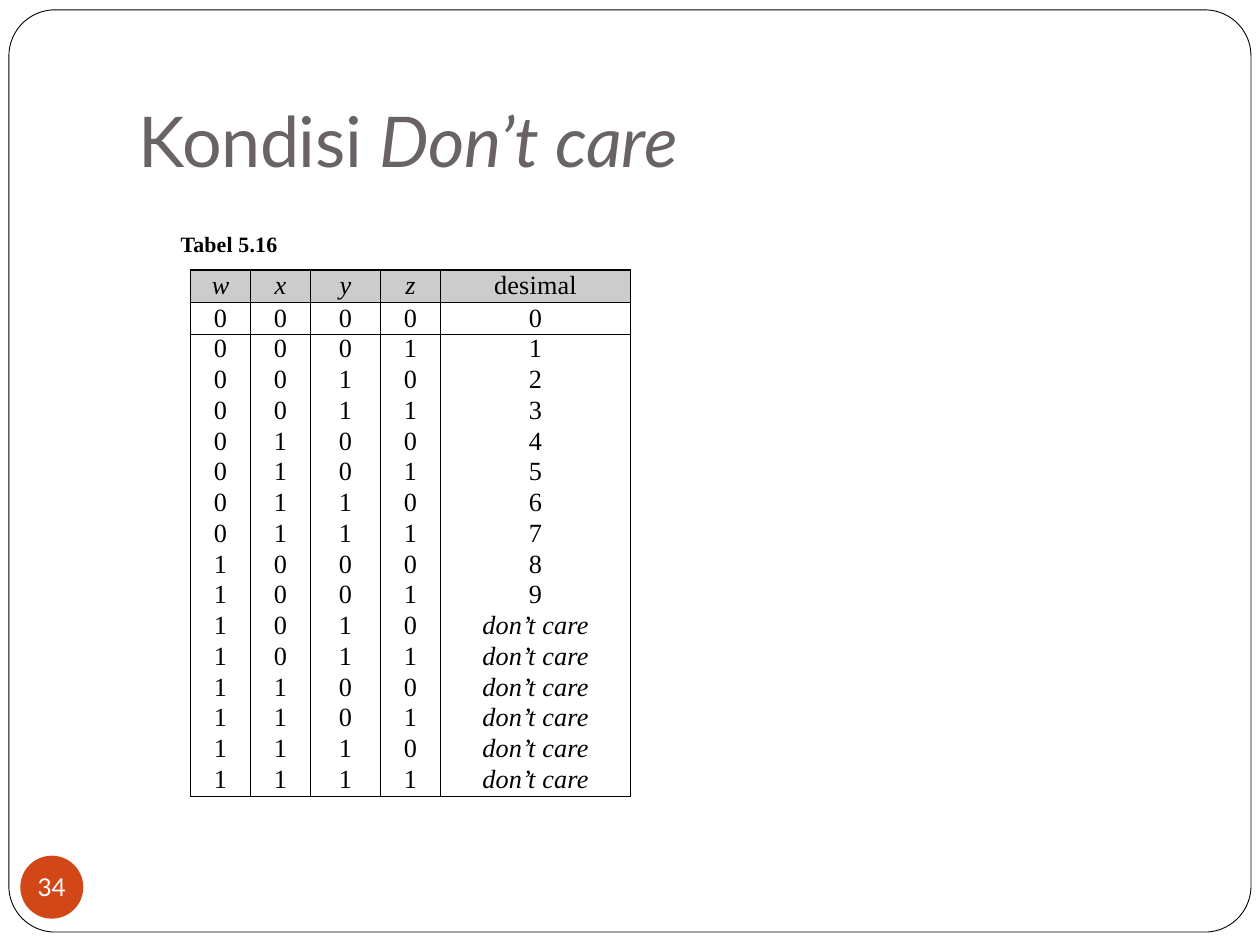
from lxml import etree
from pptx import Presentation
from pptx.dml.color import RGBColor
from pptx.enum.shapes import MSO_SHAPE
from pptx.enum.text import MSO_ANCHOR, PP_ALIGN
from pptx.oxml.ns import qn
from pptx.util import Cm, Pt

ROUNDED, OVAL = MSO_SHAPE.ROUNDED_RECTANGLE, MSO_SHAPE.OVAL
LEFT, CENTER = PP_ALIGN.LEFT, PP_ALIGN.CENTER
TOP, MIDDLE = MSO_ANCHOR.TOP, MSO_ANCHOR.MIDDLE

BLACK = RGBColor(0x00, 0x00, 0x00)
WHITE = RGBColor(0xFF, 0xFF, 0xFF)
ORANGE = RGBColor(0xD2, 0x47, 0x17)
TITLE_GREY = RGBColor(0x69, 0x63, 0x63)
HEADER_GREY = RGBColor(0xCC, 0xCC, 0xCC)
SANS, SERIF = "Lato", "Times New Roman"

HEADINGS = ["w", "x", "y", "z", "desimal"]
COL_WIDTHS = [1.21, 1.21, 1.41, 1.21, 3.83]
HEADER_HEIGHT, EDGE_HEIGHT, ROW_HEIGHT = 0.66, 0.64, 0.62
DONT_CARE = "don’t care"


def add_run(p, text, font=SERIF, size=15, color=BLACK, bold=False,
            italic=False, spacing=0):
    """Append formatted text; spacing is the letter spacing in points."""
    r = p.add_run()
    r.text = text
    r.font.name, r.font.size = font, Pt(size)
    r.font.bold, r.font.italic = bold, italic
    r.font.color.rgb = color
    if spacing:
        r.font._element.set("spc", str(round(spacing * 100)))


def prepare_text(s, align=LEFT, anchor=TOP):
    """Remove the margins of a shape and return its first paragraph."""
    tf = s.text_frame
    tf.margin_left = tf.margin_right = tf.margin_top = tf.margin_bottom = 0
    tf.vertical_anchor = anchor
    tf.word_wrap = True
    p = tf.paragraphs[0]
    p.alignment = align
    return p


def add_frame(slide, x, y, w, h):
    s = slide.shapes.add_shape(ROUNDED, Cm(x), Cm(y), Cm(w), Cm(h))
    s.adjustments[0] = 0.05
    s.shadow.inherit = False
    s.fill.background()
    s.line.color.rgb = BLACK
    s.line.width = Pt(0.5)


def add_page_number(slide, x, y, d, number):
    s = slide.shapes.add_shape(OVAL, Cm(x), Cm(y), Cm(d), Cm(d))
    s.shadow.inherit = False
    s.fill.solid()
    s.fill.fore_color.rgb = ORANGE
    s.line.fill.background()
    add_run(prepare_text(s, CENTER, MIDDLE), number, SANS, 14, WHITE)


def add_title(slide, x, y, w, h):
    p = prepare_text(slide.shapes.add_textbox(Cm(x), Cm(y), Cm(w), Cm(h)))
    style = dict(font=SANS, size=40, color=TITLE_GREY)
    add_run(p, "Kondisi ", spacing=-0.2, **style)
    add_run(p, "Don’t care", italic=True, spacing=-0.1, **style)


def add_caption(slide, x, y, w, h):
    p = prepare_text(slide.shapes.add_textbox(Cm(x), Cm(y), Cm(w), Cm(h)))
    add_run(p, "Tabel 5.16", size=12.5, bold=True, spacing=0.1)


def set_borders(cell, sides):
    """Draw the named sides (letters of LRTB) and hide the others."""
    tc_pr = cell._tc.get_or_add_tcPr()
    for side in "LRTB":
        ln = etree.SubElement(tc_pr, qn(f"a:ln{side}"), w=str(Pt(1)))
        if side in sides:
            fill = etree.SubElement(ln, qn("a:solidFill"))
            etree.SubElement(fill, qn("a:srgbClr"), val=str(BLACK))
        else:
            etree.SubElement(ln, qn("a:noFill"))


def fill_cell(cell, text, sides, line_spacing, italic, background=None):
    cell.margin_left = cell.margin_right = 0
    cell.margin_top = cell.margin_bottom = 0
    set_borders(cell, sides)
    if background is None:
        cell.fill.background()
    else:
        cell.fill.solid()
        cell.fill.fore_color.rgb = background
    p = cell.text_frame.paragraphs[0]
    p.alignment = CENTER
    p.line_spacing = Pt(line_spacing)
    add_run(p, text, italic=italic, spacing=0.1 if len(text) > 1 else 0)


def add_truth_table(slide, x, y):
    """Every 4-bit input with its decimal digit; 10 to 15 are don't cares."""
    rows = [HEADINGS]
    for n in range(16):
        rows.append([*f"{n:04b}", str(n) if n < 10 else DONT_CARE])
    last = len(rows) - 1
    heights = [HEADER_HEIGHT, EDGE_HEIGHT]
    heights += [ROW_HEIGHT] * (last - 2) + [EDGE_HEIGHT]
    spacings = {0: 17.5, 1: 17.2, last: 16.8}

    table = slide.shapes.add_table(
        len(rows), len(HEADINGS), Cm(x), Cm(y),
        Cm(sum(COL_WIDTHS)), Cm(sum(heights))).table
    table.first_row = table.horz_banding = False
    for col, width in zip(table.columns, COL_WIDTHS):
        col.width = Cm(width)
    for i, values in enumerate(rows):
        table.rows[i].height = Cm(heights[i])
        sides = "LR" + ("T" if i <= 2 else "") + ("B" if i in (0, 1, last) else "")
        for j, text in enumerate(values):
            italic = text == DONT_CARE or (i == 0 and j < 4)
            fill_cell(table.cell(i, j), text, sides, spacings.get(i, 16.6),
                      italic, HEADER_GREY if i == 0 else None)


def main():
    prs = Presentation()
    prs.slide_width, prs.slide_height = Cm(25.4), Cm(19.05)
    slide = prs.slides.add_slide(prs.slide_layouts[6])
    add_frame(slide, 0.18, 0.2, 25.04, 18.59)
    add_page_number(slide, 0.41, 17.25, 1.27, "34")
    add_title(slide, 2.8, 1.96, 11.5, 1.75)
    add_caption(slide, 3.64, 4.66, 2.2, 0.6)
    add_truth_table(slide, 3.84, 5.44)
    prs.save("out.pptx")


if __name__ == "__main__":
    main()
